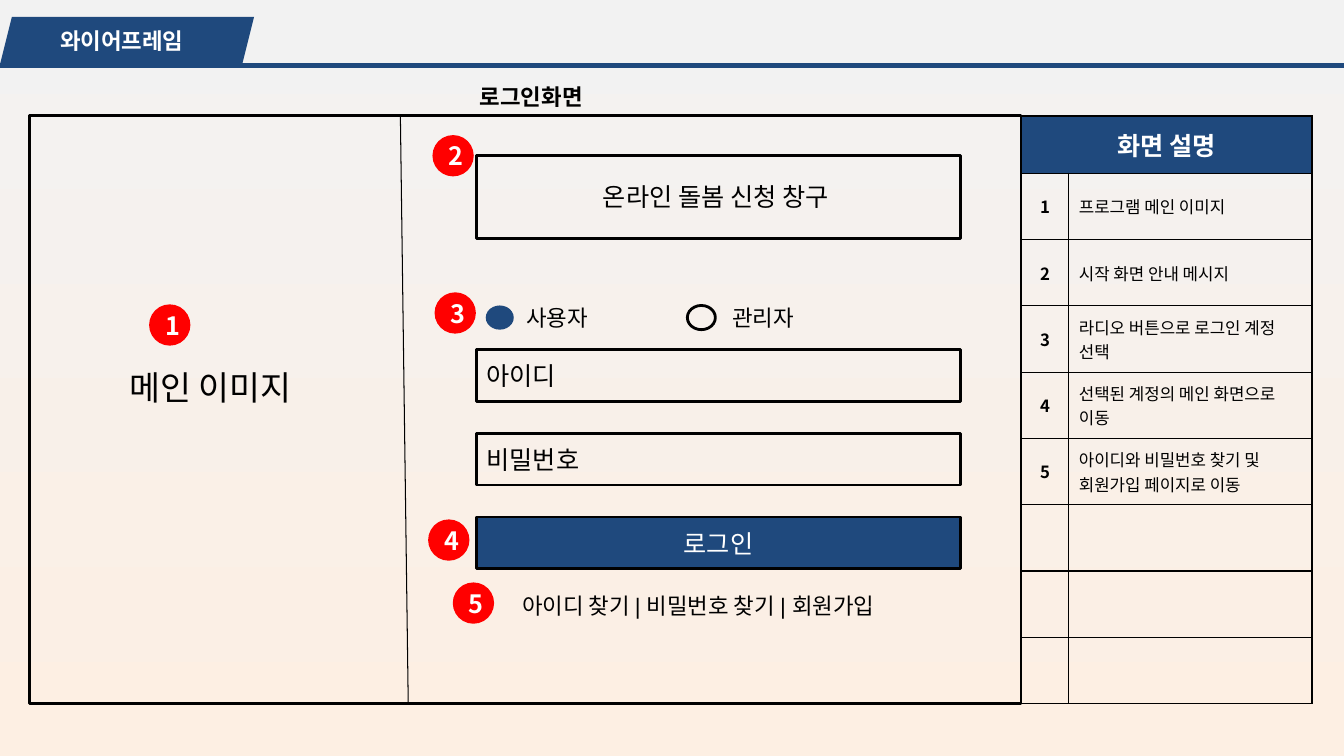
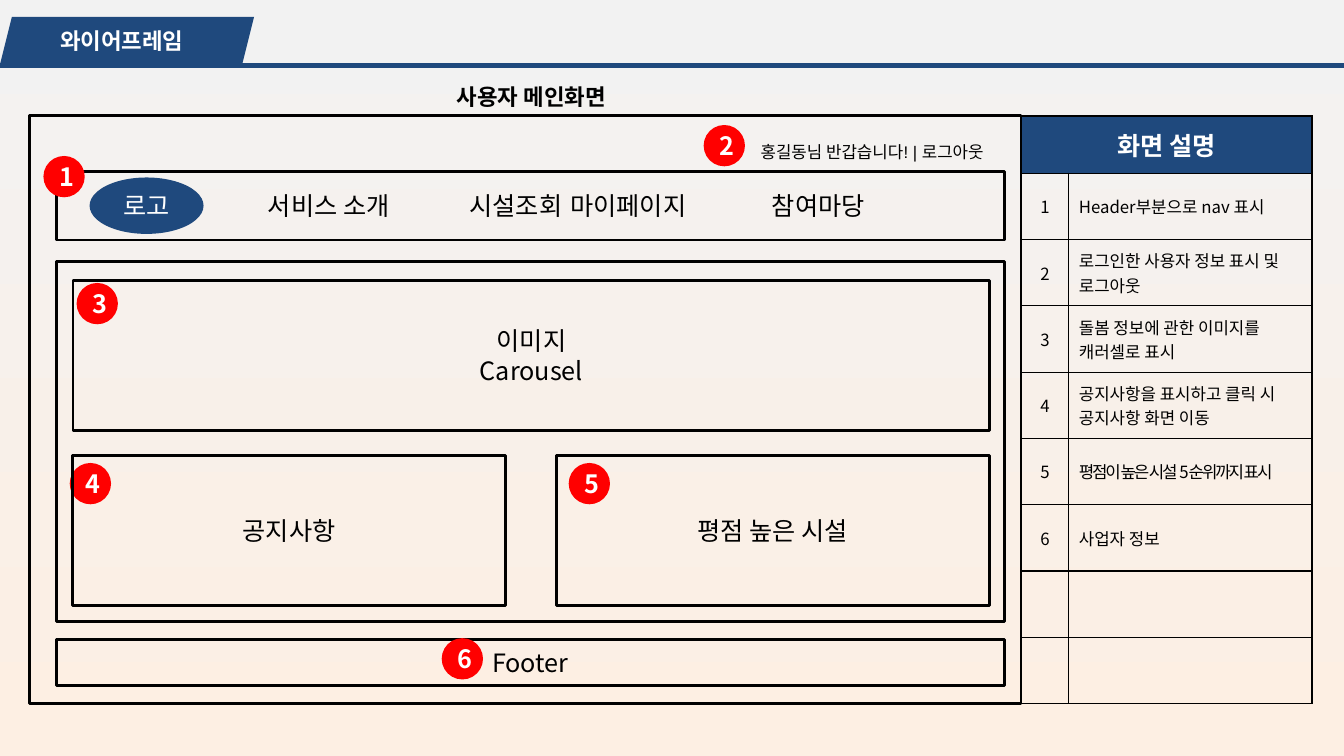
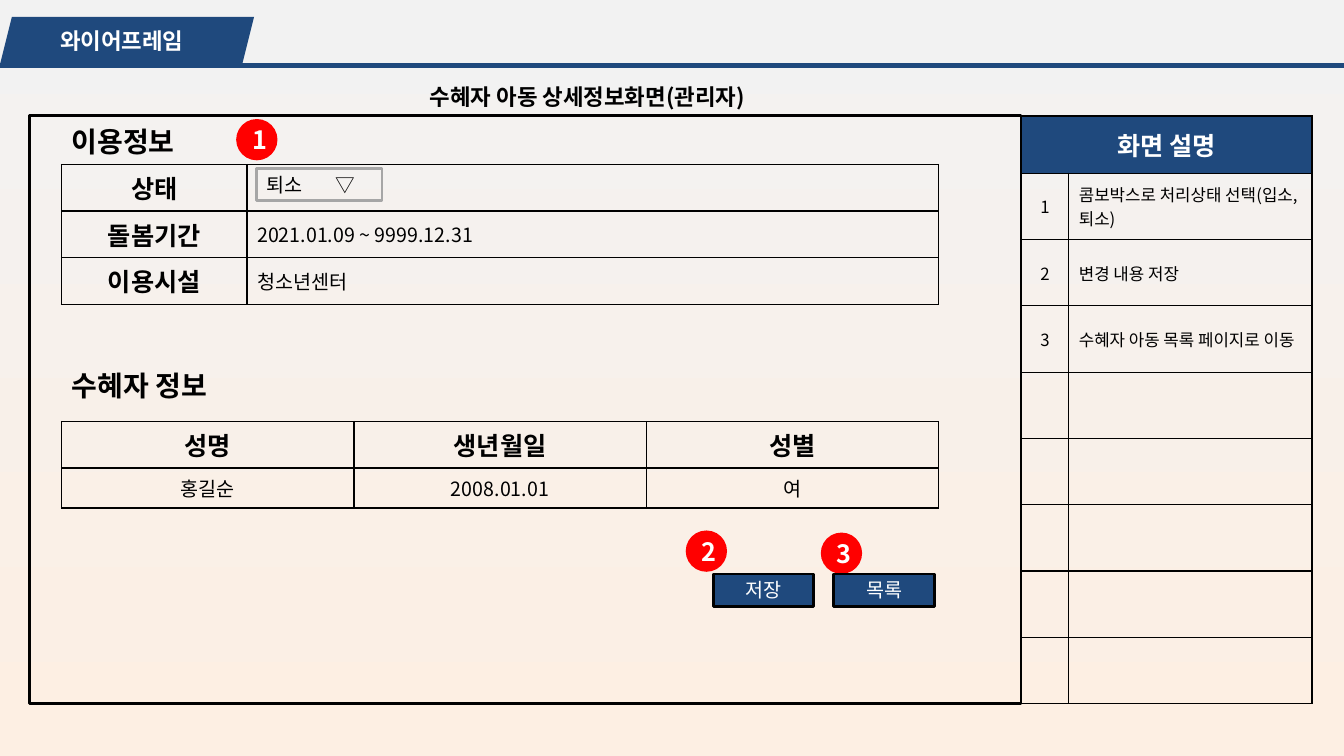
from dataclasses import dataclass
from typing import Any, Optional, Sequence

from lxml import etree
from pptx import Presentation
from pptx.dml.color import RGBColor
from pptx.enum.shapes import MSO_CONNECTOR, MSO_SHAPE
from pptx.enum.text import MSO_ANCHOR, MSO_AUTO_SIZE, PP_ALIGN
from pptx.oxml.ns import qn
from pptx.slide import Slide
from pptx.util import Pt

RECTANGLE = MSO_SHAPE.RECTANGLE
OVAL = MSO_SHAPE.OVAL
PARALLELOGRAM = MSO_SHAPE.PARALLELOGRAM
STRAIGHT = MSO_CONNECTOR.STRAIGHT
MIDDLE = MSO_ANCHOR.MIDDLE
NO_FIT = MSO_AUTO_SIZE.NONE
LEFT = PP_ALIGN.LEFT
CENTER = PP_ALIGN.CENTER

NAVY = "1F497D"
BLACK = "000000"
WHITE = "FFFFFF"
RED = "FF0000"
GRAY = "A6A6A6"
BACKGROUND = ("F2F2F2", "FDEFE3")
KOREAN = "Noto Sans CJK KR"
LATIN = "Arial"

TITLE_ONLY = 5
BADGE_SIZE = 29.5
NOTE_ROWS = 8
NOTE_HEIGHT = 47.35
INFO_LEFT = 44
INFO_WIDTH = 626.4


@dataclass(frozen=True)
class TextStyle:
    size: float = 18
    color: str = BLACK
    bold: bool = False
    font: str = KOREAN
    align: PP_ALIGN = CENTER
    spacing: float = 0
    stops: tuple[float, ...] = ()


@dataclass(frozen=True)
class Box:
    left: float
    top: float
    width: float
    height: float
    text: str = ""
    style: TextStyle = TextStyle()
    fill: Optional[str] = None
    line: Optional[str] = BLACK
    kind: MSO_SHAPE = RECTANGLE


@dataclass(frozen=True)
class Cell:
    text: str = ""
    style: TextStyle = TextStyle()
    fill: Optional[str] = None


@dataclass(frozen=True)
class Screen:
    title: str
    title_width: float
    notes: tuple[str, ...]
    number_bold: bool = False
    tight_note: int = 0


TITLE = TextStyle(16, bold=True)
TAB = TextStyle(16, WHITE, True)
BADGE = TextStyle(18, WHITE, True)
BUTTON = TextStyle(18, WHITE)
SMALL_BUTTON = TextStyle(14, WHITE)
FIELD = TextStyle(align=LEFT)
LABEL = TextStyle(16, font=LATIN)
GREETING = TextStyle(12, font=LATIN)
IMAGE_LABEL = TextStyle(24, font=LATIN)
SECTION = TextStyle(20, bold=True, font=LATIN, align=LEFT)
MENU = TextStyle(align=LEFT, stops=(144, 288, 360, 504))
COMBO = TextStyle(14, align=LEFT, stops=(49,))
HEAD = TextStyle(bold=True)
VALUE = TextStyle(14)
LEFT_VALUE = TextStyle(14, align=LEFT)

LOGIN = Screen(
    "로그인화면",
    177,
    (
        "프로그램 메인 이미지",
        "시작 화면 안내 메시지",
        "라디오 버튼으로 로그인 계정 선택",
        "선택된 계정의 메인 화면으로 이동",
        "아이디와 비밀번호 찾기 및 회원가입 페이지로 이동",
    ),
    number_bold=True,
)
USER_MAIN = Screen(
    "사용자 메인화면",
    177,
    (
        "Header부분으로 nav 표시",
        "로그인한 사용자 정보 표시 및 로그아웃",
        "돌봄 정보에 관한 이미지를 캐러셀로 표시",
        "공지사항을 표시하고 클릭 시 공지사항 화면 이동",
        "평점이 높은 시설 5순위까지 표시",
        "사업자 정보",
    ),
    tight_note=5,
)
CHILD_DETAIL = Screen(
    "수혜자 아동 상세정보화면(관리자)",
    257,
    (
        "콤보박스로 처리상태 선택(입소, 퇴소)",
        "변경 내용 저장",
        "수혜자 아동 목록 페이지로 이동",
    ),
)


def paint(value: str) -> RGBColor:
    return RGBColor.from_string(value)


def set_fill(fill: Any, color: Optional[str]) -> None:
    if color is None:
        fill.background()
    else:
        fill.solid()
        fill.fore_color.rgb = paint(color)


def write(frame: Any, text: str, style: TextStyle) -> None:
    formats = {"name": style.font, "size": Pt(style.size), "bold": style.bold}
    for index, line in enumerate(text.split("\n")):
        para = frame.add_paragraph() if index else frame.paragraphs[0]
        para.alignment = style.align
        if style.stops:
            stops = etree.SubElement(para._p.get_or_add_pPr(), qn("a:tabLst"))
            for stop in style.stops:
                etree.SubElement(stops, qn("a:tab"), pos=str(Pt(stop)), algn="l")
        span = para.add_run()
        span.text = line
        for name, value in formats.items():
            setattr(span.font, name, value)
        span.font.color.rgb = paint(style.color)
        properties = span._r.get_or_add_rPr()
        etree.SubElement(properties, qn("a:ea"), typeface=KOREAN)
        if style.spacing:
            properties.set("spc", str(int(style.spacing * 100)))


def fill_frame(frame: Any, text: str, style: TextStyle) -> None:
    formats = {"word_wrap": True, "auto_size": NO_FIT, "vertical_anchor": MIDDLE}
    for name, value in formats.items():
        setattr(frame, name, value)
    write(frame, text, style)


def add_box(page: Slide, box: Box) -> None:
    place = [Pt(length) for length in (box.left, box.top, box.width, box.height)]
    shape = page.shapes.add_shape(box.kind, *place)
    shape.shadow.inherit = False
    set_fill(shape.fill, box.fill)
    set_fill(shape.line.fill, box.line)
    if box.line:
        shape.line.width = Pt(2)
    if box.text:
        fill_frame(shape.text_frame, box.text, box.style)


def add_text(
    page: Slide, left: float, top: float, width: float, height: float, text: str, style: TextStyle
) -> None:
    box = page.shapes.add_textbox(Pt(left), Pt(top), Pt(width), Pt(height))
    fill_frame(box.text_frame, text, style)


def add_line(
    page: Slide, start: tuple[float, float], end: tuple[float, float], color: str, width: float
) -> None:
    line = page.shapes.add_connector(STRAIGHT, *[Pt(value) for value in start + end])
    line.line.color.rgb = paint(color)
    line.line.width = Pt(width)
    etree.SubElement(line.element.spPr, qn("a:effectLst"))


def add_borders(cell: Any) -> None:
    properties = cell._tc.get_or_add_tcPr()
    for side in ("a:lnL", "a:lnR", "a:lnT", "a:lnB"):
        border = etree.SubElement(properties, qn(side), w=str(Pt(1)))
        solid = etree.SubElement(border, qn("a:solidFill"))
        etree.SubElement(solid, qn("a:srgbClr"), val=BLACK)


def add_grid(
    page: Slide,
    left: float,
    top: float,
    widths: Sequence[float],
    heights: Sequence[float],
    rows: Sequence[Sequence[Cell]],
) -> Any:
    grid = page.shapes.add_table(
        len(heights), len(widths), Pt(left), Pt(top), Pt(sum(widths)), Pt(sum(heights))
    ).table
    for name in ("first_row", "horz_banding"):
        setattr(grid, name, False)
    for column, width in zip(grid.columns, widths):
        column.width = Pt(width)
    for row, height, contents in zip(grid.rows, heights, rows):
        row.height = Pt(height)
        for cell, content in zip(row.cells, contents):
            add_borders(cell)
            set_fill(cell.fill, content.fill)
            cell.vertical_anchor = MIDDLE
            if content.text:
                write(cell.text_frame, content.text, content.style)
    return grid


def add_notes_grid(page: Slide, screen: Screen) -> None:
    rows = [[Cell("화면 설명", BADGE, NAVY), Cell(fill=NAVY)]]
    for number, note in enumerate(screen.notes, 1):
        spacing = -1.5 if number == screen.tight_note else 0
        rows.append(
            [
                Cell(str(number), TextStyle(12, bold=screen.number_bold)),
                Cell(note, TextStyle(12, align=LEFT, spacing=spacing)),
            ]
        )
    rows += [[Cell(), Cell()] for _ in range(NOTE_ROWS - len(screen.notes))]
    heights = [41] + [NOTE_HEIGHT] * NOTE_ROWS
    grid = add_grid(page, 729.4, 82.8, (34, 173.8), heights, rows)
    grid.cell(0, 0).merge(grid.cell(0, 1))


def add_badges(page: Slide, places: Sequence[tuple[float, float]]) -> None:
    for number, (left, top) in enumerate(places, 1):
        add_box(page, Box(left, top, BADGE_SIZE, BADGE_SIZE, str(number), BADGE, RED, None, OVAL))


def add_page(deck: Any, screen: Screen) -> Slide:
    page = deck.slides.add_slide(deck.slide_layouts[TITLE_ONLY])
    add_box(page, Box(0, 12, 181.5, 34, fill=NAVY, line=None, kind=PARALLELOGRAM))
    add_text(page, -1.5, 9.4, 177, 39.5, "와이어프레임", TAB)
    add_line(page, (960, 46.8), (0, 46.8), NAVY, 3)
    title = page.shapes.title
    place = {"left": 291, "top": 49, "width": screen.title_width, "height": 39.5}
    for name, value in place.items():
        setattr(title, name, Pt(value))
    fill_frame(title.text_frame, screen.title, TITLE)
    add_box(page, Box(20.9, 82.8, 708.5, 419.8))
    add_notes_grid(page, screen)
    return page


def build_login(deck: Any) -> None:
    page = add_page(deck, LOGIN)
    left, width = 340.5, 345.6
    add_line(page, (286, 82.8), (291.6, 502.6), BLACK, 0.75)
    add_box(page, Box(left, 110.8, width, 59.6, "온라인 돌봄 신청 창구 "))
    fields = (("아이디", FIELD, None), ("비밀번호", FIELD, None), ("로그인", BUTTON, NAVY))
    for index, (text, style, fill) in enumerate(fields):
        add_box(page, Box(left, 249.7 + index * 59.8, width, 37, text, style, fill))
    add_box(page, Box(347, 218.2, 20, 17.3, fill=NAVY, line=None, kind=OVAL))
    add_box(page, Box(491, 218.2, 20, 17.3, kind=OVAL))
    for label_left, text in ((309.5, "사용자"), (456.5, "관리자")):
        add_text(page, label_left, 212.4, 177, 29.5, text, LABEL)
    add_text(page, 273, 417.6, 451.5, 29.5, "아이디 찾기 | 비밀번호 찾기 | 회원가입", LABEL)
    add_text(page, 62, 234.7, 177, 84.2, "메인 이미지", IMAGE_LABEL)
    add_badges(
        page, ((106.5, 217.4), (308.9, 96.5), (310.4, 208.8), (305.8, 371), (323.4, 416))
    )


def build_user_main(deck: Any) -> None:
    page = add_page(deck, USER_MAIN)
    left, width = 40.3, 677
    menu = "\t서비스 소개\t시설조회\t마이페이지\t참여마당"
    add_box(page, Box(left, 122.4, width, 49, menu, MENU))
    add_text(page, 491, 93.6, 264, 29.5, "홍길동님 반갑습니다! | 로그아웃", GREETING)
    add_box(page, Box(64, 126.8, 81.4, 40.3, "로고", BUTTON, NAVY, None, OVAL))
    add_box(page, Box(left, 457, width, 32.4, "Footer"))
    add_box(page, Box(left, 187, width, 257))
    add_badges(
        page,
        ((31, 111.4), (502.6, 89.3), (54.7, 202.1), (49.8, 330.7), (406.2, 330.7), (315.5, 455.8)),
    )
    add_box(page, Box(52.2, 200.2, 654.8, 107.3, "이미지\nCarousel"))
    for index, text in enumerate(("공지사항", "평점 높은 시설")):
        add_box(page, Box(52 + index * 345.6, 325.4, 309, 107.3, text))


def build_child_detail(deck: Any) -> None:
    page = add_page(deck, CHILD_DETAIL)
    for top, text in ((86.4, "이용정보"), (260.6, "수혜자 정보")):
        add_text(page, INFO_LEFT, top, 264, 29.5, text, SECTION)
    usage = (("상태", ""), ("돌봄기간", "2021.01.09 ~ 9999.12.31"), ("이용시설", "청소년센터"))
    usage_rows = [[Cell(name, HEAD), Cell(value, LEFT_VALUE)] for name, value in usage]
    add_grid(page, INFO_LEFT, 117.4, (132.5, INFO_WIDTH - 132.5), [33.2] * 3, usage_rows)
    child_rows = [
        [Cell(name, HEAD) for name in ("성명", "생년월일", "성별")],
        [Cell(value, VALUE) for value in ("홍길순", "2008.01.01", "여")],
    ]
    add_grid(page, INFO_LEFT, 301, [INFO_WIDTH / 3] * 3, (33.3, 28.6), child_rows)
    add_box(page, Box(183.4, 120.2, 89.5, 23, "퇴소\t▽", COMBO, line=GRAY))
    add_badges(page, ((168.7, 85), (489.8, 378.9), (586.3, 380.4)))
    for index, text in enumerate(("저장", "목록")):
        add_box(page, Box(509.4 + index * 86.2, 410, 72, 23, text, SMALL_BUTTON, NAVY))


def main() -> None:
    deck = Presentation()
    deck.slide_width, deck.slide_height = Pt(960), Pt(540)
    fill = deck.slide_master.background.fill
    fill.gradient()
    fill.gradient_angle = 270
    for stop, color in zip(fill.gradient_stops, BACKGROUND):
        stop.color.rgb = paint(color)
    for build in (build_login, build_user_main, build_child_detail):
        build(deck)
    deck.save("out.pptx")


if __name__ == "__main__":
    main()
